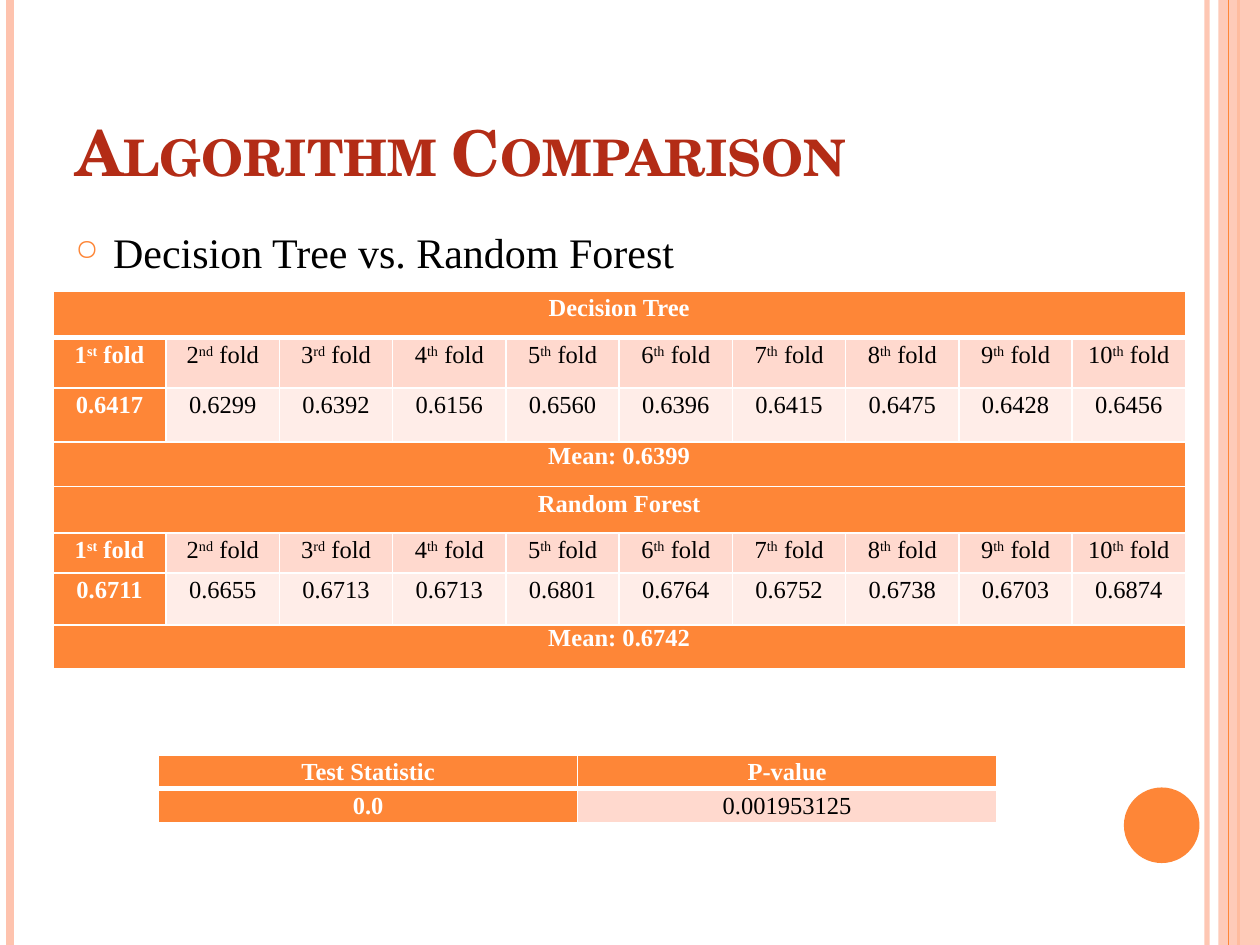
from lxml.etree import SubElement
from pptx import Presentation
from pptx.dml.color import RGBColor
from pptx.enum.shapes import MSO_CONNECTOR, MSO_SHAPE
from pptx.enum.text import MSO_ANCHOR, MSO_AUTO_SIZE, PP_ALIGN
from pptx.oxml.ns import qn
from pptx.util import Emu, Pt

PX = 9144
COLORS = {
    "orange": "FE8637", "peach": "FEC3AE", "red": "B32C16", "black": "000000",
    "white": "FFFFFF", "band": "FFD9CE", "pale": "FFEDE8",
}
SERIF = "Times New Roman"
ORDINALS = ["st", "nd", "rd"] + ["th"] * 7
TREE_SCORES = "0.6417 0.6299 0.6392 0.6156 0.6560 0.6396 0.6415 0.6475 0.6428 0.6456".split()
FOREST_SCORES = "0.6711 0.6655 0.6713 0.6713 0.6801 0.6764 0.6752 0.6738 0.6703 0.6874".split()


def px(*lengths):
    """Turn px lengths into a list of EMU lengths."""
    return [Emu(length * PX) for length in lengths]


def rgb(name):
    """Return the named colour."""
    return RGBColor.from_string(COLORS[name])


def set_alpha(shape, percent):
    """Make the first colour of a shape's own fill or line translucent."""
    color = shape._element.spPr.find(".//" + qn("a:srgbClr"))
    SubElement(color, qn("a:alpha"), val=str(percent * 1000))


def format_run(run, size, color, bold=False, font=SERIF):
    """Set the font of a run."""
    run.font.name = font
    run.font.size = Pt(size)
    run.font.bold = bold
    run.font.color.rgb = rgb(color)


def add_rule(slide, x, height, color, width, alpha=100):
    """Draw a vertical line over the whole height."""
    line = slide.shapes.add_connector(MSO_CONNECTOR.STRAIGHT, *px(x, 0, x, height))
    line.line.color.rgb = rgb(color)
    line.line.width = Pt(width)
    SubElement(line._element.spPr, qn("a:effectLst"))
    if alpha < 100:
        set_alpha(line, alpha)


def add_solid(slide, kind, color, box):
    """Draw a filled shape without an outline."""
    shape = slide.shapes.add_shape(kind, *px(*box))
    shape.shadow.inherit = False
    shape.fill.solid()
    shape.fill.fore_color.rgb = rgb(color)
    shape.line.fill.background()
    return shape


def add_frame(slide, width, height):
    """Draw the side rules, the right band and the dot."""
    add_rule(slide, width - 42, height, "peach", 3, 93)
    add_rule(slide, 8, height, "peach", 4.5)
    add_rule(slide, width - 17, height, "orange", 1.5)
    band = add_solid(slide, MSO_SHAPE.RECTANGLE, "peach", (width - 33, 0, 33, height))
    set_alpha(band, 87)
    add_rule(slide, width - 25, height, "orange", 0.75)
    add_solid(slide, MSO_SHAPE.OVAL, "orange", (width - 108, height - 125, 60, 60))


def set_title(slide, text, box):
    """Place the title and set it in small capitals."""
    title = slide.shapes.title
    title.left, title.top, title.width, title.height = px(*box)
    frame = title.text_frame
    frame.text = text
    frame.auto_size = MSO_AUTO_SIZE.NONE
    frame.vertical_anchor = MSO_ANCHOR.BOTTOM
    paragraph = frame.paragraphs[0]
    paragraph.alignment = PP_ALIGN.LEFT
    run = paragraph.runs[0]
    format_run(run, 36, "red", True, "TeX Gyre Schola")
    run.font._element.set("cap", "small")


def add_bullet(slide, text, box):
    """Add a text box with one bulleted line."""
    frame = slide.shapes.add_textbox(*px(*box)).text_frame
    frame.word_wrap = True
    frame.text = text
    paragraph = frame.paragraphs[0]
    paragraph.space_before = Pt(6)
    format_run(paragraph.runs[0], 24, "black")
    properties = paragraph._p.get_or_add_pPr()
    properties.set("marL", str(30 * PX))
    properties.set("indent", str(-30 * PX))
    bullet_color = SubElement(properties, qn("a:buClr"))
    SubElement(bullet_color, qn("a:srgbClr"), val=COLORS["orange"])
    SubElement(properties, qn("a:buSzPct"), val="70000")
    SubElement(properties, qn("a:buChar"), char="○")


def set_borders(cell, top, bottom):
    """Give a cell white borders, 1 pt wide at the sides."""
    properties = cell._tc.get_or_add_tcPr()
    for side, width in (("L", 1), ("R", 1), ("T", top), ("B", bottom)):
        line = SubElement(properties, qn("a:ln" + side), w=str(Pt(width)))
        fill = SubElement(line, qn("a:solidFill"))
        SubElement(fill, qn("a:srgbClr"), val=COLORS["white"])


def fill_cell(cell, parts, fill, strong, spacing):
    """Write centred runs into a cell, with every second run raised."""
    cell.fill.solid()
    cell.fill.fore_color.rgb = rgb(fill)
    cell.margin_left, cell.margin_right, cell.margin_top, cell.margin_bottom = px(7, 7, 0, 0)
    paragraph = cell.text_frame.paragraphs[0]
    paragraph.alignment = PP_ALIGN.CENTER
    paragraph.line_spacing = spacing
    for index, part in enumerate(parts):
        run = paragraph.add_run()
        run.text = part
        format_run(run, 14, "white" if strong else "black", strong)
        if index % 2:
            run.font._element.set("baseline", "30000")


def add_grid(slide, box, heights, rows):
    """Add a table from (cells, fill, spacing) rows; a lone cell spans its row."""
    count = max(len(cells) for cells, _, _ in rows)
    table = slide.shapes.add_table(len(rows), count, *px(*box)).table
    for column in table.columns:
        column.width = Emu(box[2] * PX // count)
    for row_index, (cells, fill, spacing) in enumerate(rows):
        table.rows[row_index].height = px(heights[row_index])[0]
        for column_index in range(count):
            cell = table.cell(row_index, column_index)
            set_borders(cell, 3 if row_index == 1 else 1, 3 if row_index == 0 else 1)
        if len(cells) == 1:
            table.cell(row_index, 0).merge(table.cell(row_index, count - 1))
        for column_index, parts in enumerate(cells):
            strong = column_index == 0 or fill == "orange"
            fill_cell(table.cell(row_index, column_index), parts,
                      "orange" if strong else fill, strong, spacing)


def fold_rows(name, scores, mean):
    """Return the four rows that describe one algorithm."""
    folds = [[str(number), suffix, " fold"] for number, suffix in enumerate(ORDINALS, 1)]
    return [
        ([[name]], "orange", 1.15),
        (folds, "band", 1.15),
        ([[score] for score in scores], "pale", 1.15),
        ([[f"Mean: {mean}"]], "orange", 1.0),
    ]


def build_comparison(slide, width, height):
    """Fill the algorithm comparison slide."""
    add_frame(slide, width, height)
    set_title(slide, "Algorithm Comparison", (50, 30, 817, 125))
    add_bullet(slide, "Decision Tree vs. Random Forest", (50, 175, 817, 533))
    add_grid(slide, (42, 231, 899, 301), [37, 40, 43, 35, 37, 32, 41, 35],
             fold_rows("Decision Tree", TREE_SCORES, "0.6399")
             + fold_rows("Random Forest", FOREST_SCORES, "0.6742"))
    add_grid(slide, (126, 599, 665, 49), [24, 24], [
        ([["Test Statistic"], ["P-value"]], "orange", 1.15),
        ([["0.0"], ["0.001953125"]], "band", 1.15),
    ])


def main():
    """Build and save the presentation."""
    presentation = Presentation()
    presentation.slide_width, presentation.slide_height = px(1000, 750)
    slide = presentation.slides.add_slide(presentation.slide_layouts[5])
    build_comparison(slide, 1000, 750)
    presentation.save("out.pptx")


if __name__ == "__main__":
    main()
